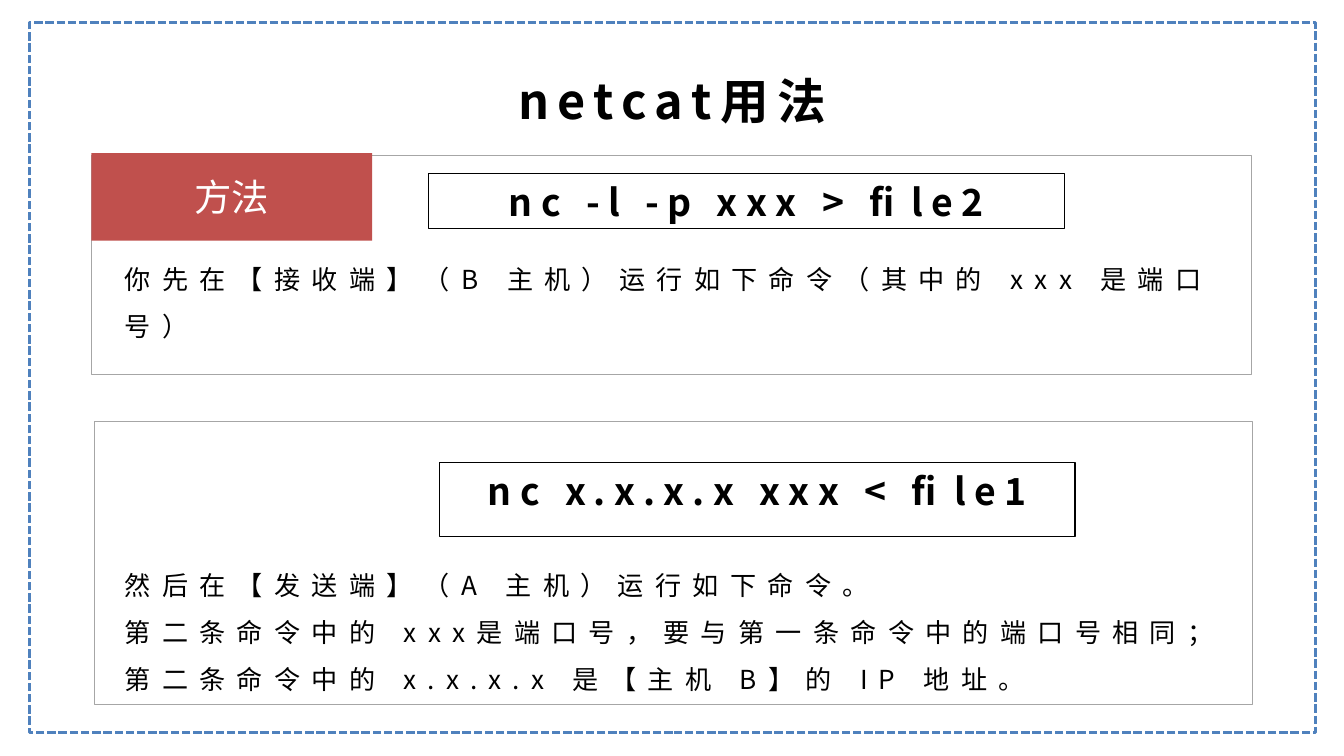
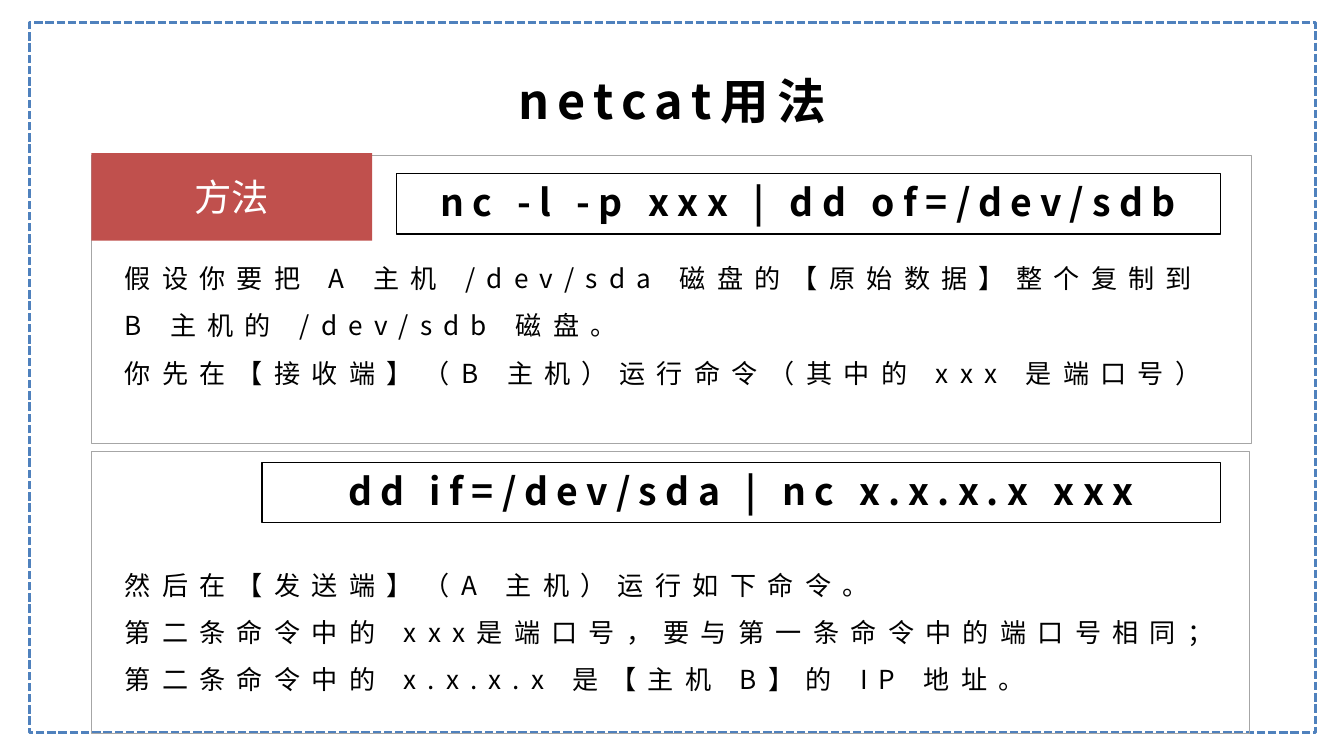
from dataclasses import dataclass

from lxml.etree import SubElement
from pptx import Presentation
from pptx.dml.color import RGBColor as Rgb
from pptx.enum.dml import MSO_LINE_DASH_STYLE as Dash
from pptx.enum.shapes import MSO_SHAPE as Kind
from pptx.enum.text import MSO_ANCHOR as Anchor, PP_ALIGN as Align
from pptx.oxml.ns import qn
from pptx.util import Inches, Pt

COLS, ROWS = 1000, 562
WIDE = Inches(10)
HIGH = WIDE * 9 // 16
CELL = WIDE // COLS


@dataclass(frozen=True)
class Theme:
    """Colours, font, type sizes and spacing of the deck."""
    font: str = "Noto Sans CJK SC"
    ink: str = "000000"
    pale: str = "FFFFFF"
    edge: str = "4F81BD"
    rule: str = "A6A6A6"
    tag: str = "C0504D"
    head: int = 26
    code: int = 20
    note: int = 14
    loose: float = 4.5
    wide: float = 6


@dataclass(frozen=True)
class Box:
    """A box in columns and rows of a grid of square cells."""
    x: int
    y: int
    w: int
    h: int

    def sub(self, part):
        """Shift a part by the corner of this box."""
        return Box(self.x + part.x, self.y + part.y, part.w, part.h)

    def emu(self):
        """Give left, top, width and height as lengths."""
        return [CELL * n for n in (self.x, self.y, self.w, self.h)]


THEME = Theme()
PAGE = Box(0, 0, COLS, ROWS)
EDGE = Box(22, 17, 957, 528)
HEAD = Box(295, 49, 410, 51)
TAG = Box(0, -2, 209, 65)


@dataclass(frozen=True)
class Panel:
    """A framed step: its box, and its command and notes inside it."""
    box: Box
    code: Box
    cmd: str
    note: Box
    lines: tuple


def rect(slide, box, line=None, width=0.5, fill=None):
    """Draw a plain rectangle."""
    shape = slide.shapes.add_shape(Kind.RECTANGLE, *box.emu())
    shape.shadow.inherit = False
    if fill:
        shape.fill.solid()
        shape.fill.fore_color.rgb = Rgb.from_string(fill)
    else:
        shape.fill.background()
    if line:
        shape.line.color.rgb = Rgb.from_string(line)
        shape.line.width = Pt(width)
    else:
        shape.line.fill.background()
    return shape


def style(para, size, color=THEME.ink, bold=False, gap=0):
    """Format the runs of a paragraph."""
    for run in para.runs:
        font = run.font
        font.size, font.bold, font.name = Pt(size), bold, THEME.font
        font.color.rgb = Rgb.from_string(color)
        props = run._r.get_or_add_rPr()
        props.set("spc", str(int(gap * 100)))
        SubElement(props, qn("a:ea")).set("typeface", THEME.font)


def label(shape, text, size, anchor=Anchor.TOP, **look):
    """Set one centred line with narrow margins."""
    frame = shape.text_frame
    frame.word_wrap, frame.vertical_anchor = True, anchor
    frame.margin_left = frame.margin_right = Inches(0.07)
    frame.margin_top = frame.margin_bottom = Inches(0.04)
    frame.text = text
    para = frame.paragraphs[0]
    para.alignment = Align.CENTER
    style(para, size, **look)


def notes(slide, box, lines):
    """Set body lines with wide letter and line spacing."""
    frame = slide.shapes.add_textbox(*box.emu()).text_frame
    frame.word_wrap = True
    frame.text = "\n".join(lines)
    for para in frame.paragraphs:
        para.level, para.line_spacing = 1, 1.5
        para._p.get_or_add_pPr().set("marL", "0")
        style(para, THEME.note, gap=THEME.wide)


def step(slide, panel):
    """Draw a frame with its notes and command."""
    box = panel.box
    rect(slide, box, THEME.rule)
    notes(slide, box.sub(panel.note), panel.lines)
    code = rect(slide, box.sub(panel.code), THEME.ink, 0.75)
    label(code, panel.cmd, THEME.code, bold=True, gap=THEME.loose)


def base(slide, box, title):
    """Draw the dashed border and the title."""
    edge = rect(slide, box.sub(EDGE), THEME.edge, 1.5)
    edge.line.dash_style = Dash.SQUARE_DOT
    head = slide.shapes.add_textbox(*box.sub(HEAD).emu())
    label(head, title, THEME.head, bold=True, gap=THEME.loose)


def usage(deck, upper, lower):
    """Add a slide with a receiving and a sending step."""
    slide = deck.slides.add_slide(deck.slide_layouts[6])
    base(slide, PAGE, "netcat用法")
    step(slide, lower)
    step(slide, upper)
    tag = rect(slide, upper.box.sub(TAG), fill=THEME.tag)
    label(tag, "方法", THEME.code, Anchor.MIDDLE, color=THEME.pale)


SEND = (
    "然后在【发送端】（A 主机）运行如下命令。",
    "第二条命令中的 xxx是端口号，要与第一条命令中的端口号相同；"
    "第二条命令中的 x.x.x.x 是【主机 B】的 IP 地址。",
)
PAIRS = (
    (Panel(Box(68, 116, 863, 163),
           Box(251, 13, 473, 41), "nc -l -p xxx > file2",
           Box(15, 63, 850, 81),
           ("你先在【接收端】（B 主机）运行如下命令（其中的 xxx 是端口号）",)),
     Panel(Box(70, 314, 862, 210),
           Box(257, 30, 473, 55), "nc x.x.x.x xxx < file1",
           Box(13, 93, 849, 111), SEND)),
    (Panel(Box(68, 116, 863, 214),
           Box(227, 13, 613, 45), "nc -l -p xxx | dd of=/dev/sdb",
           Box(15, 63, 850, 116),
           ("假设你要把 A 主机 /dev/sda 磁盘的【原始数据】整个复制到 "
            "B 主机的 /dev/sdb 磁盘。",
            "你先在【接收端】（B 主机）运行命令（其中的 xxx 是端口号）")),
     Panel(Box(68, 336, 862, 210),
           Box(127, 8, 713, 45), "dd if=/dev/sda | nc x.x.x.x xxx",
           Box(15, 71, 849, 111), SEND)),
)


def main():
    """Build and save the deck."""
    deck = Presentation()
    deck.slide_width, deck.slide_height = WIDE, HIGH
    for upper, lower in PAIRS:
        usage(deck, upper, lower)
    deck.save("out.pptx")


if __name__ == "__main__":
    main()
